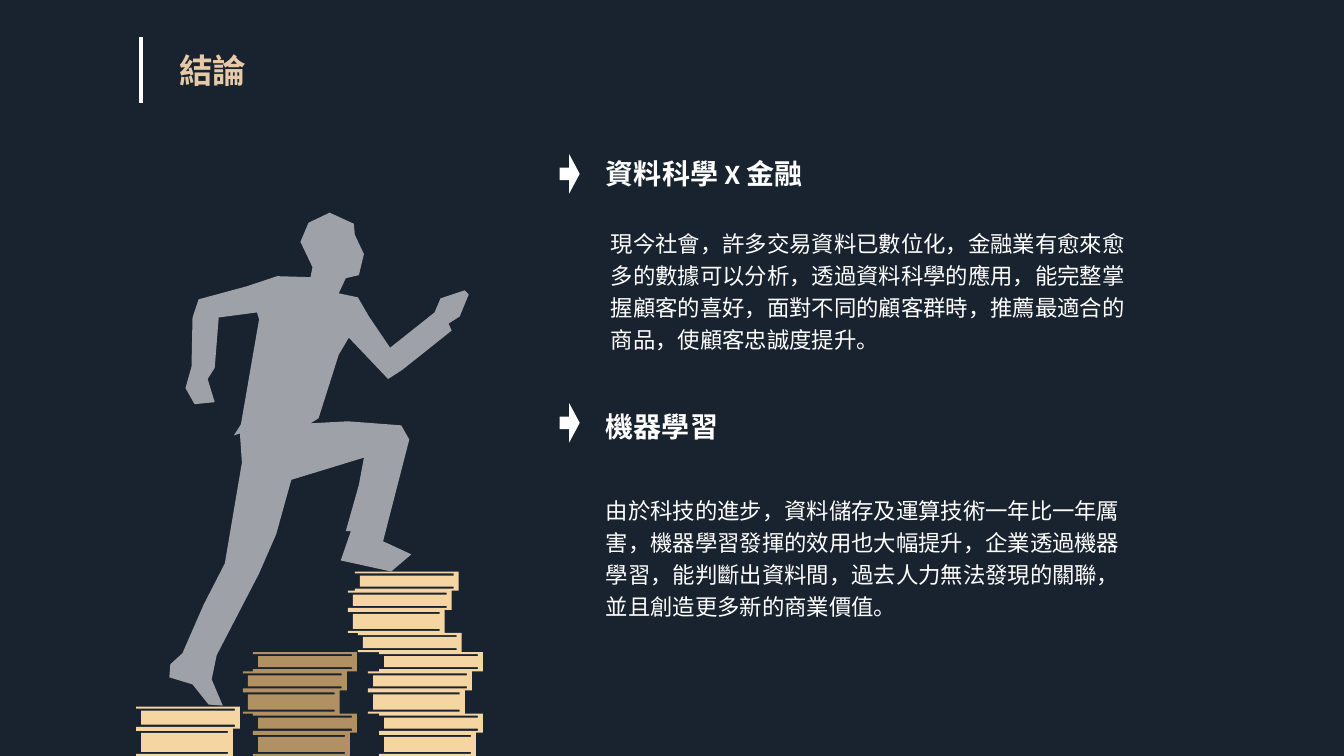
from lxml import etree
from pptx import Presentation
from pptx.dml.color import RGBColor
from pptx.enum.shapes import MSO_CONNECTOR, MSO_SHAPE
from pptx.enum.text import MSO_ANCHOR
from pptx.oxml.ns import qn
from pptx.util import Pt

STRAIGHT = MSO_CONNECTOR.STRAIGHT
RIGHT_ARROW = MSO_SHAPE.RIGHT_ARROW
MIDDLE = MSO_ANCHOR.MIDDLE

NAVY = RGBColor(0x18, 0x23, 0x2F)
GREY = RGBColor(0x9F, 0xA1, 0xA8)
GOLD = RGBColor(0xF5, 0xD6, 0xA3)
BROWN = RGBColor(0xB1, 0x91, 0x63)
SAND = RGBColor(0xE6, 0xC9, 0xA8)
WHITE = RGBColor(0xFF, 0xFF, 0xFF)

PX = 9144

RUNNER = [
    (461, 288), (437, 296), (431, 310), (387, 345), (366, 314), (355, 295),
    (336, 291), (343, 276), (356, 273), (361, 252), (352, 233), (351, 222),
    (327, 211), (306, 221), (298, 240), (310, 265), (308, 275), (275, 274),
    (245, 284), (197, 297), (191, 315), (190, 364), (184, 385), (193, 401),
    (213, 399), (206, 376), (213, 365), (217, 315), (255, 310), (257, 317),
    (239, 421), (232, 432), (238, 430), (240, 459), (223, 559), (202, 600),
    (181, 648), (169, 659), (168, 672), (191, 679), (207, 699), (221, 700),
    (210, 674), (215, 650), (257, 569), (274, 530), (289, 476), (361, 454),
    (356, 481), (343, 527), (348, 527), (338, 556), (388, 567), (408, 550),
    (380, 537), (406, 436), (398, 422), (345, 418), (308, 420), (316, 415),
    (336, 352), (346, 335), (385, 376), (399, 367), (448, 328), (445, 321),
    (456, 314), (465, 292),
]

BOOK_HEIGHTS = [19, 19, 23, 19]
BOOK_STACKS = [
    (GOLD, [352, 345, 345, 355, 376, 365, 365, 376, 376],
     BOOK_HEIGHTS * 2 + [23]),
    (BROWN, [251, 241, 241, 251, 251], BOOK_HEIGHTS + [23]),
    (GOLD, [135, 135], [22, 27]),
]

TOPICS = [
    (153, "資料科學 X 金融", (596, 131, 229, 76),
     "現今社會，許多交易資料已數位化，金融業有愈來愈多的數據可以分析，透過資料科學的應用，能完整掌握顧客的喜好，面對不同的顧客群時，推薦最適合的商品，使顧客忠誠度提升。",
     (601, 220, 535, 133)),
    (400, "機器學習", (596, 375, 230, 90),
     "由於科技的進步，資料儲存及運算技術一年比一年厲害，機器學習發揮的效用也大幅提升，企業透過機器學習，能判斷出資料間，過去人力無法發現的關聯，並且創造更多新的商業價值。",
     (596, 472, 539, 159)),
]


def paint(shape, color):
    shape.shadow.inherit = False
    shape.fill.solid()
    shape.fill.fore_color.rgb = color
    shape.line.fill.background()


def write(box, text, size, color, bold):
    area = slide.shapes.add_textbox(*[n * PX for n in box])
    frame = area.text_frame
    frame.word_wrap = True
    run = frame.paragraphs[0].add_run()
    run.text = text
    run.font.name = "Calibri"
    run.font.size = Pt(size)
    run.font.bold = bold
    run.font.color.rgb = color
    return frame


prs = Presentation()
prs.slide_width = 1333 * PX
prs.slide_height = 750 * PX
slide = prs.slides.add_slide(prs.slide_layouts[6])
slide.background.fill.solid()
slide.background.fill.fore_color.rgb = NAVY

runner = slide.shapes.build_freeform(*RUNNER[0], scale=PX)
runner.add_line_segments(RUNNER[1:])
paint(runner.convert_to_shape(), GREY)

for color, lefts, heights in BOOK_STACKS:
    top = 750 - sum(heights)
    stack = slide.shapes.build_freeform(lefts[0], top, scale=PX)
    for index, (left, height) in enumerate(zip(lefts, heights)):
        right = left + (96 if height >= 23 else 103)
        bottom = top + height
        spine, page = right - 5, left + 5
        if index:
            stack.move_to(left, top)
        stack.add_line_segments([
            (left, top + 2), (spine, top + 2), (spine, top + 4),
            (page, top + 4), (page, bottom - 4), (spine, bottom - 4),
            (spine, bottom - 2), (left, bottom - 2), (left, bottom),
            (right, bottom), (right, top),
        ])
        top = bottom
    paint(stack.convert_to_shape(), color)

title_bar = slide.shapes.add_connector(
    STRAIGHT, 140 * PX, 37 * PX, 140 * PX, 102 * PX)
title_bar.line.color.rgb = WHITE
title_bar.line.width = Pt(3)
etree.SubElement(title_bar._element.spPr, qn("a:effectLst"))
write((168, 45, 110, 50), "結論", 24, SAND, True)

for arrow_top, heading, heading_box, body, body_box in TOPICS:
    arrow = slide.shapes.add_shape(
        RIGHT_ARROW, 555 * PX, arrow_top * PX, 20 * PX, 39 * PX)
    arrow.adjustments[0] = 0.32
    arrow.adjustments[1] = 0.52
    paint(arrow, WHITE)
    for box, text, size, bold in ((heading_box, heading, 20, True),
                                  (body_box, body, 16, False)):
        frame = write(box, text, size, WHITE, bold)
        frame.vertical_anchor = MIDDLE
        frame.margin_left = frame.margin_right = 5 * PX
        frame.margin_top = frame.margin_bottom = 5 * PX
        frame.paragraphs[0].line_spacing = 1.2

prs.save("out.pptx")
